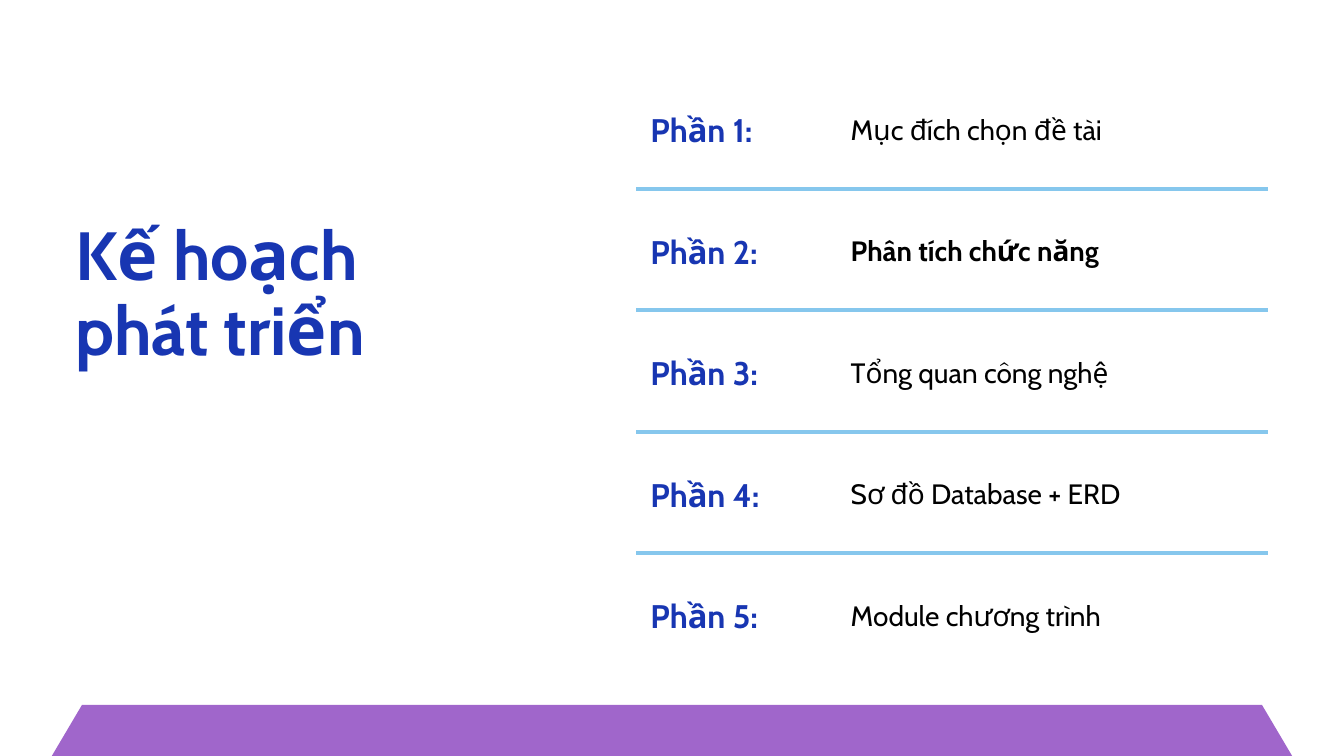
"""Build the development plan slide with its five-part agenda table."""
from dataclasses import dataclass

from lxml import etree
from pptx import Presentation
from pptx.dml.color import RGBColor
from pptx.enum.shapes import MSO_SHAPE as SHAPE
from pptx.enum.text import MSO_ANCHOR as ANCHOR, MSO_AUTO_SIZE as AUTO_SIZE, PP_ALIGN as ALIGN
from pptx.oxml.ns import qn
from pptx.util import Inches, Pt


@dataclass(frozen=True)
class Theme:
    font: str = "Cabin"
    blue: str = "1836B2"
    black: str = "000000"
    rule: str = "86C7ED"
    purple: str = "A066CB"
    title: float = 73
    label: float = 35
    topic: float = 30
    rule_width: float = 4.5


theme = Theme()


def add_text(tf, text, size, color, bold, leading):
    p = tf.paragraphs[0]
    p.alignment = ALIGN.LEFT
    p.line_spacing = Pt(leading)
    p.space_before = Pt(0)
    r = p.add_run()
    r.text = text
    r.font.name = theme.font
    r.font.size = Pt(size)
    r.font.bold = bold
    r.font.color.rgb = RGBColor.from_string(color)


def set_borders(cell, visible):
    tcPr = cell._tc.get_or_add_tcPr()
    for side in ("lnL", "lnR", "lnT", "lnB"):
        ln = etree.SubElement(tcPr, qn(f"a:{side}"))
        if side in visible:
            ln.set("w", str(Pt(theme.rule_width)))
            fill = etree.SubElement(ln, qn("a:solidFill"))
            etree.SubElement(fill, qn("a:srgbClr"), val=theme.rule)
        else:
            ln.set("w", "0")
            etree.SubElement(ln, qn("a:noFill"))


prs = Presentation()
prs.slide_width, prs.slide_height = Inches(20), Inches(11.25)
s = prs.slides.add_slide(prs.slide_layouts[5])

topics = [
    ("Mục đích chọn đề tài", False),
    ("Phân tích chức năng", True),
    ("Tổng quan công nghệ", False),
    ("Sơ đồ Database + ERD", False),
    ("Module chương trình", False),
]
frame = s.shapes.add_table(len(topics), 2, Inches(9.47), Inches(1), Inches(9.4), Inches(9.04))
table = frame.table
table.first_row = table.horz_banding = False
for column, width in zip(table.columns, (2.98, 6.42)):
    column.width = Inches(width)

for i, (topic, bold) in enumerate(topics):
    visible = set()
    if i > 0:
        visible.add("lnT")
    if i < len(topics) - 1:
        visible.add("lnB")
    entries = (
        (f"Phần {i + 1}:", theme.label, theme.blue, True, 49),
        (topic, theme.topic, theme.black, bold, 42),
    )
    for cell, entry in zip(table.rows[i].cells, entries):
        cell.margin_left = cell.margin_right = Inches(0.21)
        cell.margin_top = cell.margin_bottom = Inches(0.21)
        cell.vertical_anchor = ANCHOR.MIDDLE
        set_borders(cell, visible)
        cell.fill.background()
        add_text(cell.text_frame, *entry)

title = s.shapes.title
title.left, title.top = Inches(1.12), Inches(3.26)
title.width, title.height = Inches(6.09), Inches(2.26)
tf = title.text_frame
tf.word_wrap = True
tf.auto_size = AUTO_SIZE.SHAPE_TO_FIT_TEXT
tf.vertical_anchor = ANCHOR.TOP
tf.margin_left = tf.margin_right = tf.margin_top = tf.margin_bottom = 0
add_text(tf, "Kế hoạch phát triển", theme.title, theme.blue, True, 80.3)

base = s.shapes.add_shape(SHAPE.HEXAGON, Inches(0.36), Inches(10.49), Inches(19.28), Inches(2.91))
base.adjustments[0] = 0.86 / 2.91
base.shadow.inherit = False
base.fill.solid()
base.fill.fore_color.rgb = RGBColor.from_string(theme.purple)
base.line.fill.background()

prs.save("out.pptx")
